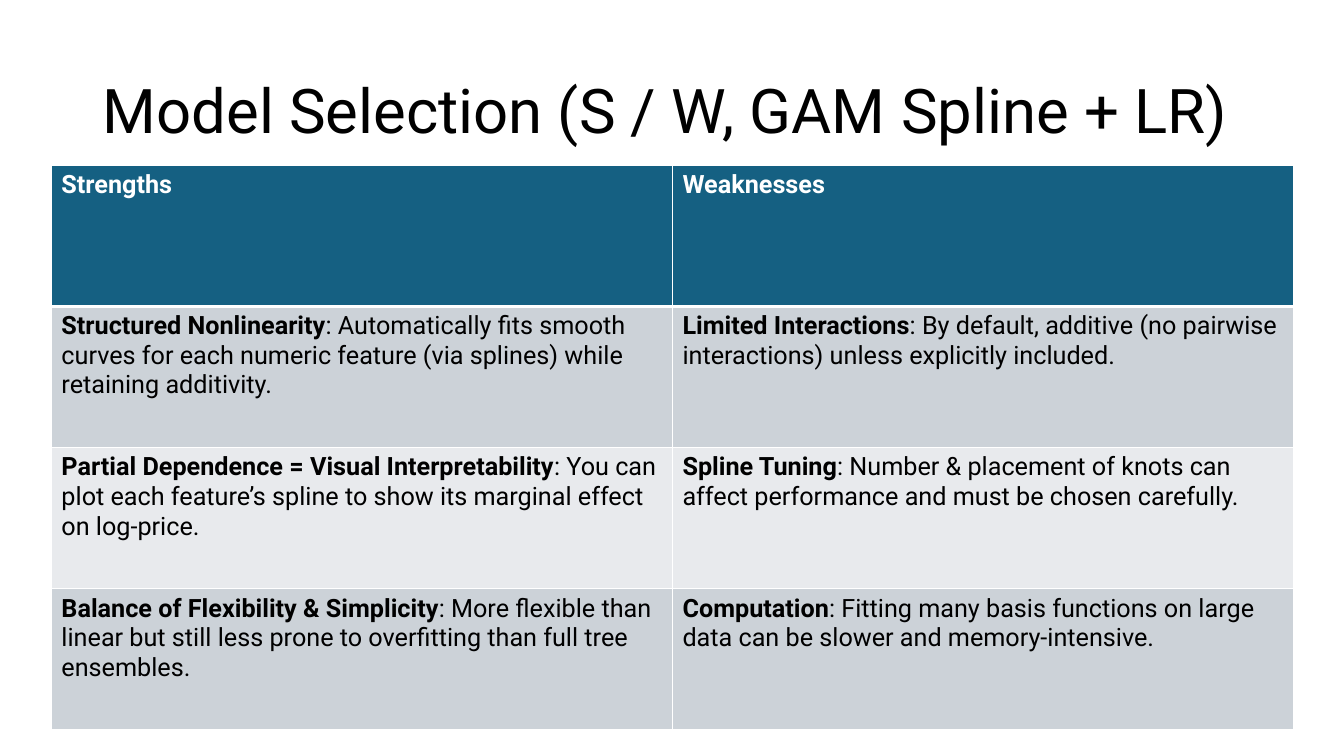
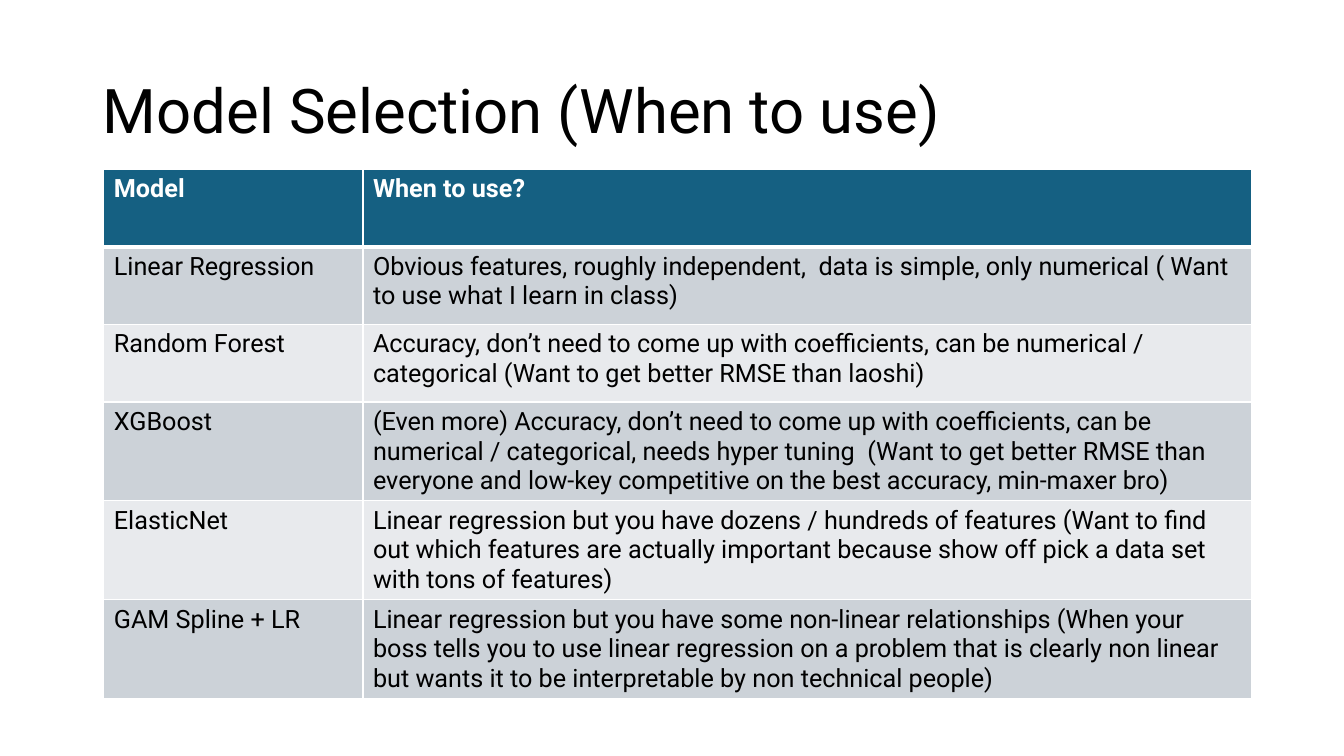
from dataclasses import dataclass

from lxml import etree
from pptx import Presentation
from pptx import util as u
from pptx.dml.color import RGBColor
from pptx.enum import text
from pptx.oxml import ns


@dataclass(frozen=True)
class Theme:
    font: str = "Roboto"
    title_size: int = 44
    table_size: int = 18
    ink: str = "000000"
    paper: str = "FFFFFF"
    header: str = "156082"
    bands: tuple = ("CCD2D8", "E8EAED")
    rule: float = 1
    header_rule: float = 3


THEME = Theme()

# Content: a cell is plain text, or a (bold lead, rest) pair
SLIDES = [
    {
        "title": "Model Selection (S / W, GAM Spline + LR)",
        "place": (0.51, 1.64),
        "columns": (6.16, 6.16),
        "row_height": 1.4,
        "header": ("Strengths", "Weaknesses"),
        "rows": [
            (("Structured Nonlinearity",
              ": Automatically fits smooth curves for each numeric feature "
              "(via splines) while retaining additivity."),
             ("Limited Interactions",
              ": By default, additive (no pairwise interactions) unless "
              "explicitly included.")),
            (("Partial Dependence = Visual Interpretability",
              ": You can plot each feature’s spline to show its marginal "
              "effect on log‐price."),
             ("Spline Tuning",
              ": Number & placement of knots can affect performance and must "
              "be chosen carefully.")),
            (("Balance of Flexibility & Simplicity",
              ": More flexible than linear but still less prone to "
              "overfitting than full tree ensembles."),
             ("Computation",
              ": Fitting many basis functions on large data can be slower "
              "and memory‐intensive.")),
        ],
    },
    {
        "title": "Model Selection (When to use)",
        "place": (1.03, 1.68),
        "columns": (2.57, 8.81),
        "row_height": 0.77,
        "header": ("Model", "When to use?"),
        "rows": [
            ("Linear Regression",
             "Obvious features, roughly independent,  data is simple, only "
             "numerical ( Want to use what I learn in class)"),
            ("Random Forest",
             "Accuracy, don’t need to come up with coefficients, can be "
             "numerical / categorical (Want to get better RMSE than laoshi)"),
            ("XGBoost",
             "(Even more) Accuracy, don’t need to come up with coefficients, "
             "can be numerical / categorical, needs hyper tuning  (Want to "
             "get better RMSE than everyone and low-key competitive on the "
             "best accuracy, min-maxer bro)"),
            ("ElasticNet",
             "Linear regression but you have dozens / hundreds of features "
             "(Want to find out which features are actually important because "
             "show off pick a data set with tons of features)"),
            ("GAM Spline + LR",
             "Linear regression but you have some non-linear relationships "
             "(When your boss tells you to use linear regression on a problem "
             "that is clearly non linear but wants it to be interpretable by "
             "non technical people)"),
        ],
    },
]


def add_span(para, words, size=THEME.table_size, color=THEME.ink, bold=False):
    span = para.add_run()
    span.text = words
    span.font.name = THEME.font
    span.font.size = u.Pt(size)
    span.font.bold = bold
    span.font.color.rgb = RGBColor.from_string(color)


def set_borders(cell, top, bottom):
    """Draw the four cell borders; top and bottom are widths in points."""
    props = cell._tc.get_or_add_tcPr()
    widths = {"lnL": THEME.rule, "lnR": THEME.rule, "lnT": top, "lnB": bottom}
    for position, (side, width) in enumerate(widths.items()):
        line = etree.Element(ns.qn(f"a:{side}"), w=str(u.Pt(width)))
        fill = etree.SubElement(line, ns.qn("a:solidFill"))
        etree.SubElement(fill, ns.qn("a:srgbClr"), val=THEME.paper)
        props.insert(position, line)


def set_title(page, words):
    box = page.shapes.title
    box.left, box.top = u.Inches(0.92), u.Inches(0.4)
    box.width, box.height = u.Inches(11.5), u.Inches(1.45)
    frame = box.text_frame
    frame.word_wrap = True
    frame.auto_size = text.MSO_AUTO_SIZE.NONE
    frame.vertical_anchor = text.MSO_ANCHOR.MIDDLE
    para = frame.paragraphs[0]
    para.alignment = text.PP_ALIGN.LEFT
    para.line_spacing = 0.9
    add_span(para, words, size=THEME.title_size)


def fill_cell(cell, content, row):
    is_header = row == 0
    cell.fill.solid()
    cell.fill.fore_color.rgb = RGBColor.from_string(
        THEME.header if is_header else THEME.bands[(row - 1) % 2])
    set_borders(cell,
                top=THEME.header_rule if row == 1 else THEME.rule,
                bottom=THEME.header_rule if is_header else THEME.rule)
    para = cell.text_frame.paragraphs[0]
    if is_header:
        add_span(para, content, color=THEME.paper, bold=True)
    elif isinstance(content, tuple):
        lead, rest = content
        add_span(para, lead, bold=True)
        add_span(para, rest)
    else:
        add_span(para, content)


def add_model_table(page, place, columns, row_height, header, rows):
    lines = [header, *rows]
    left, top = place
    table = page.shapes.add_table(
        len(lines), len(columns), u.Inches(left), u.Inches(top),
        u.Inches(sum(columns)), u.Inches(row_height * len(lines))).table
    for column, width in zip(table.columns, columns):
        column.width = u.Inches(width)
    for row, line in enumerate(lines):
        table.rows[row].height = u.Inches(row_height)
        for column, content in enumerate(line):
            fill_cell(table.cell(row, column), content, row)


def main():
    deck = Presentation()
    deck.slide_width, deck.slide_height = u.Inches(13.33), u.Inches(7.5)
    title_only = deck.slide_layouts[5]
    for content in SLIDES:
        page = deck.slides.add_slide(title_only)
        set_title(page, content["title"])
        add_model_table(page, **{key: value for key, value in content.items()
                                 if key != "title"})
    deck.save("out.pptx")


if __name__ == "__main__":
    main()
